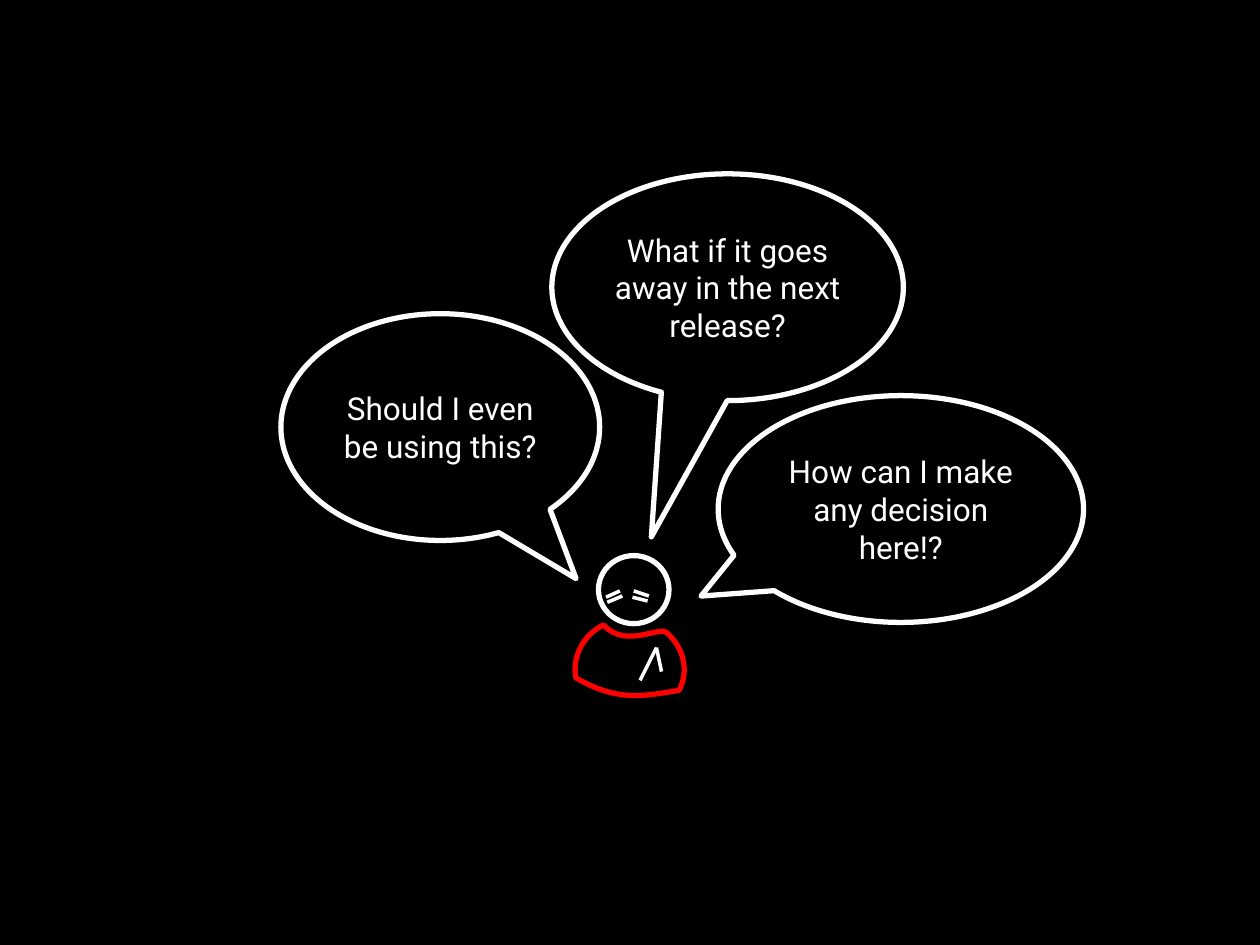
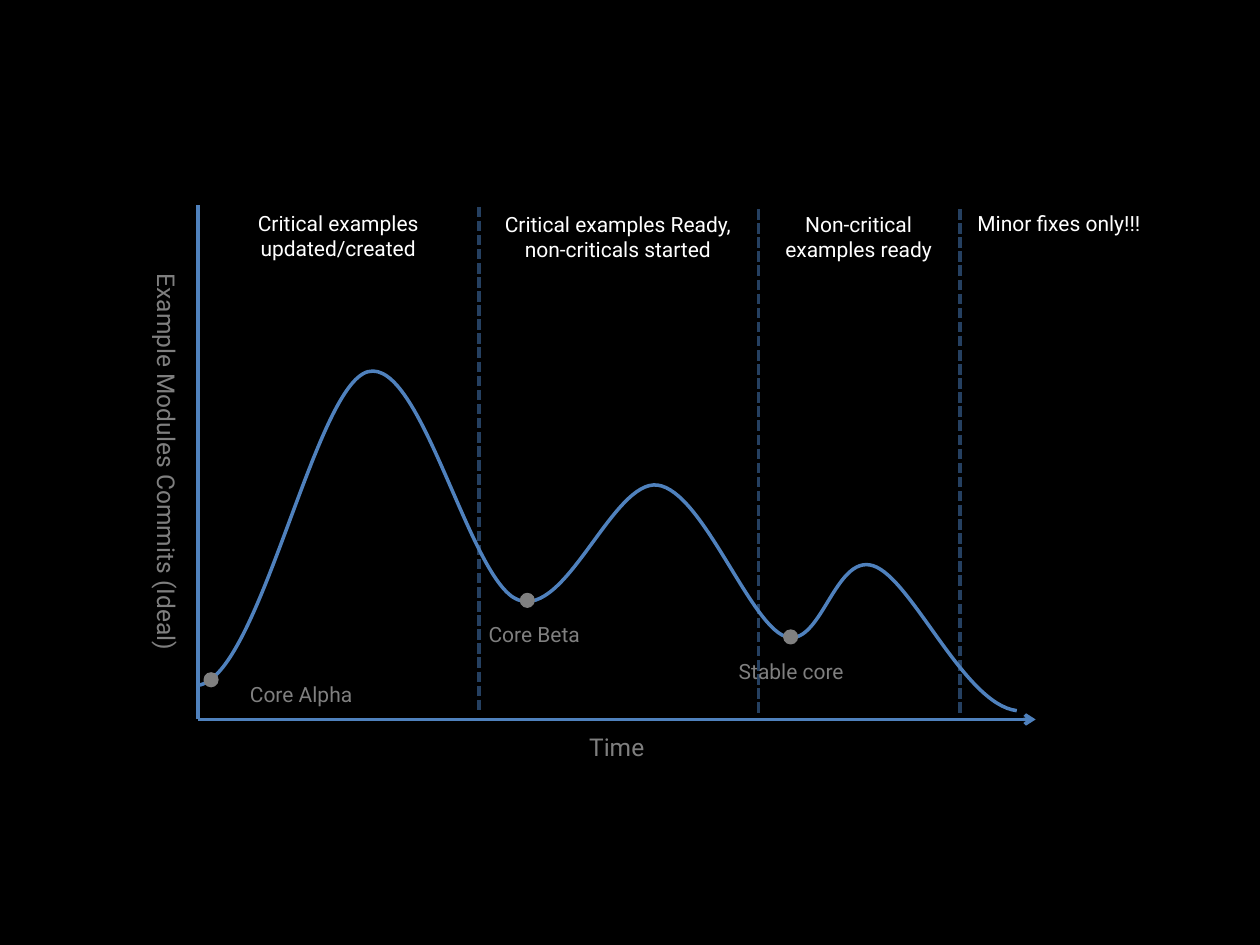
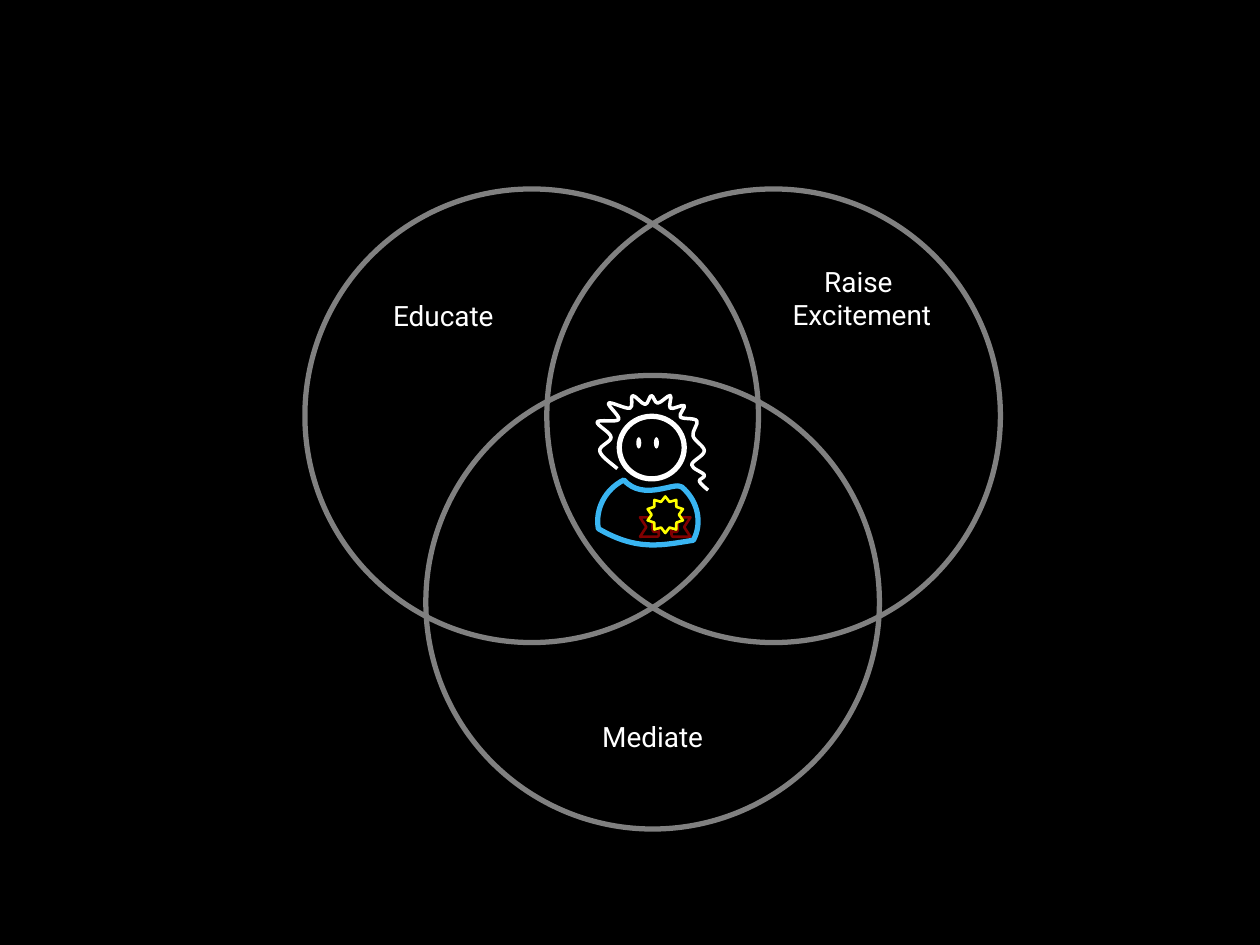
"""Build three black slides: a worried user, a commit curve and a skills diagram."""
from lxml import etree
from pptx import Presentation, util as u
from pptx.dml.color import RGBColor
from pptx.enum import dml, shapes, text
from pptx.oxml.ns import qn

KIND = shapes.MSO_SHAPE
FONT = "Roboto"
BLACK, WHITE, RED, SKY = "000000", "FFFFFF", "FF0000", "39B5F2"
BLUE, NAVY, GREY, DIM = "4F81BD", "254061", "808080", "7F7F7F"
GOLD, WINE = "FFFF00", "800000"

BODY = [(.01, .42), (-.02, .25), (.07, .08), (.23, 0), (.4, .19), (.67, .01), (.73, .06),
        (.87, .18), (.91, .37), (.83, .52), (.57, .56), (.35, .62), (.01, .42)]
HEAD = (.19, -.55, .56, .54)

DOUBTS = [
    ("How can I make any decision here!?", (5.7, 3.14, 2.9, 1.8), (-.547, .384)),
    ("What if it goes away in the next release?", (4.38, 1.38, 2.79, 1.8), (-.217, 1.101)),
    ("Should I even be using this?", (2.23, 2.49, 2.53, 1.8), (.426, .668)),
]
STROKES = [
    (5.21, 5.14, 5.08, 5.4), (5.21, 5.14, 5.25, 5.33),
    (4.81, 4.74, 4.92, 4.69), (4.82, 4.78, 4.94, 4.73),
    (5.03, 4.69, 5.15, 4.73), (5.02, 4.74, 5.14, 4.77),
]

LEFT, BASE, RIGHT = 1.57, 5.71, 8.22
STAGES = [
    ("Critical examples updated/created", (1.57, 1.62, 2.23, .5)),
    ("Critical examples Ready,\vnon-criticals started", (3.79, 1.63, 2.23, .91)),
    ("Non-critical examples ready", (6, 1.63, 1.63, .71)),
    ("Minor fixes only!!!", (7.62, 1.62, 1.57, .5)),
]
SPLITS = [(3.8, 1.64), (6.02, 1.66), (7.62, 1.66)]
MARKS = [
    ("Core Alpha", 1.62, 5.36, 1.62, 5.34),
    ("Core Beta", 3.47, 4.88, 4.13, 4.71),
    ("Stable core", 5.51, 5.18, 6.22, 5),
]
WAVE = [(-.02, 3.37), (1.57, 5.44), (2.92, 2.95), (4.11, 4.76), (5.22, 3.85),
        (6.23, 5.05), (6.93, 4.49), (8.07, 5.64), (9.45, 4.79)]

HAIR = [(5.12, 3.88), (4.9, 3.72), (4.76, 3.58), (4.85, 3.47), (4.74, 3.35), (4.91, 3.33),
        (4.83, 3.2), (5, 3.24), (5.02, 3.14), (5.12, 3.21), (5.17, 3.14), (5.22, 3.2),
        (5.32, 3.14), (5.32, 3.24), (5.43, 3.22), (5.4, 3.31), (5.53, 3.34), (5.5, 3.46),
        (5.59, 3.58), (5.49, 3.69), (5.59, 3.77), (5.55, 3.82), (5.62, 3.89), (5.55, 3.82)]
SKILLS = [
    ("Educate", 2.42, 1.5, (.1, .05, 1.5, 1.65)),
    ("Raise \vExcitement", 4.34, 1.5, (1.5, .05, .1, 1.92)),
    ("Mediate", 3.38, 2.98, (.1, 2.17, .1, .05)),
]


def tint(code):
    return RGBColor.from_string(code)


def start(deck):
    slide = deck.slides.add_slide(deck.slide_layouts[6])
    slide.background.fill.solid()
    slide.background.fill.fore_color.rgb = tint(BLACK)
    return slide


def style(shape, line=None, width=3, fill=None):
    shape.shadow.inherit = False
    if fill:
        shape.fill.solid()
        shape.fill.fore_color.rgb = tint(fill)
    else:
        shape.fill.background()
    if line:
        shape.line.color.rgb = tint(line)
        shape.line.width = u.Pt(width)
    else:
        shape.line.fill.background()
    return shape


def draw(slide, kind, box, line=None, width=3, fill=None, tweaks=()):
    shape = slide.shapes.add_shape(kind, *map(u.Inches, box))
    for i, value in enumerate(tweaks):
        shape.adjustments[i] = value
    return style(shape, line, width, fill)


def write(shape, words, size, code=WHITE, pads=(.1, .05, .1, .05), wrap=True):
    frame = shape.text_frame
    frame.text = words
    frame.word_wrap = wrap
    frame.margin_left, frame.margin_top, frame.margin_right, frame.margin_bottom = map(u.Inches, pads)
    for para in frame.paragraphs:
        para.alignment = text.PP_ALIGN.CENTER
        for run in para.runs:
            run.font.name, run.font.size = FONT, u.Pt(size)
            run.font.color.rgb = tint(code)
    return frame


def label(slide, words, box, size=12, code=WHITE):
    shape = slide.shapes.add_textbox(*map(u.Inches, box))
    write(shape, words, size, code).auto_size = text.MSO_AUTO_SIZE.SHAPE_TO_FIT_TEXT
    return shape


def rule(slide, ends, code, dash=False, arrow=False):
    line = slide.shapes.add_connector(shapes.MSO_CONNECTOR.STRAIGHT, *map(u.Inches, ends))
    line.line.color.rgb = tint(code)
    line.line.width = u.Pt(2)
    if dash:
        line.line.dash_style = dml.MSO_LINE.SQUARE_DOT
    if arrow:
        etree.SubElement(line.line._get_or_add_ln(), qn("a:tailEnd"), type="arrow")
    etree.SubElement(line._element.spPr, qn("a:effectLst"))


def bend(knots):
    """Turn knots, with a guide point at each end, into cubic control points."""
    path = [knots[1]]
    for a, b, c, d in zip(knots, knots[1:], knots[2:], knots[3:]):
        path.append(tuple(q + (r - p) / 6 for p, q, r in zip(a, b, c)))
        path.append(tuple(r - (s - q) / 6 for q, r, s in zip(b, c, d)))
        path.append(c)
    return path


def reach(marks, steps=20):
    """Give the least and greatest value a chain of cubics takes on one axis."""
    seen = []
    for i in range(0, len(marks) - 1, 3):
        a, b, c, d = marks[i:i + 4]
        for n in range(steps + 1):
            t = n / steps
            s = 1 - t
            seen.append(a * s ** 3 + 3 * b * t * s * s + 3 * c * t * t * s + d * t ** 3)
    return min(seen), max(seen)


def curve(slide, path, line, width, close=False):
    path = [(u.Inches(x), u.Inches(y)) for x, y in path]
    (left, right), (top, low) = ([round(v) for v in reach(axis)] for axis in zip(*path))
    pen = slide.shapes.build_freeform(*path[0])
    pen.add_line_segments(path[3::3], close=close)
    shape = pen.convert_to_shape()
    shape.left, shape.top, shape.width, shape.height = left, top, right - left, low - top
    trace = shape._element.find(".//" + qn("a:path"))
    trace.set("w", str(right - left))
    trace.set("h", str(low - top))
    spots = iter(path)
    for step in trace:
        if step.tag == qn("a:close"):
            continue
        first = step.tag == qn("a:moveTo")
        move = etree.Element(qn("a:moveTo" if first else "a:cubicBezTo"))
        for _ in range(1 if first else 3):
            x, y = next(spots)
            etree.SubElement(move, qn("a:pt"), x=str(x - left), y=str(y - top))
        trace.replace(step, move)
    style(shape, line, width)


def figure(slide, x, y, scale, code):
    curve(slide, [(x + scale * a, y + scale * b) for a, b in BODY], code, 3, close=True)
    a, b, wide, high = (scale * v for v in HEAD)
    draw(slide, KIND.OVAL, (x + a, y + b, wide, high), WHITE)


def doubts(slide):
    figure(slide, 4.56, 4.96, 1, RED)
    for words, box, tip in DOUBTS:
        bubble = draw(slide, KIND.OVAL_CALLOUT, box, WHITE, tweaks=tip)
        write(bubble, words, 18, pads=(0,) * 4).vertical_anchor = text.MSO_ANCHOR.MIDDLE
    for ends in STROKES:
        rule(slide, ends, WHITE)


def commits(slide):
    for x, top in SPLITS:
        rule(slide, (x, top, x, top + 4.02), NAVY, dash=True)
    rule(slide, (LEFT, 1.63, LEFT, BASE), BLUE)
    rule(slide, (LEFT, BASE, RIGHT, BASE), BLUE, arrow=True)
    curve(slide, bend(WAVE), BLUE, 2)
    label(slide, "Example Modules Commits (Ideal)", (-.83, 3.38, 4.07, .57), 14, DIM).rotation = 90
    label(slide, "Time", (LEFT, 5.76, RIGHT - LEFT, .34), 14, DIM)
    for words, x, y, across, down in MARKS:
        label(slide, words, (x, y, 1.54, .3), code=DIM)
        draw(slide, KIND.OVAL, (across, down, .11, .11), GREY, .75, GREY)
    for words, box in STAGES:
        label(slide, words, box)


def skills(slide):
    draw(slide, KIND.UP_RIBBON, (5.08, 4.03, .4, .23), WINE, 1.5, tweaks=(.333, .5))
    draw(slide, KIND.STAR_10_POINT, (5.14, 3.94, .28, .29), GOLD, 1.5, BLACK, (.368,))
    figure(slide, 4.74, 3.81, .92, SKY)
    for x in (5.05, 5.19):
        draw(slide, KIND.OVAL, (x, 3.47, .04, .09), fill=WHITE)
    curve(slide, bend(HAIR), WHITE, 2)
    for words, x, y, pads in SKILLS:
        ring = draw(slide, KIND.OVAL, (x, y, 3.6, 3.6), GREY)
        write(ring, words, 16, pads=pads, wrap=False).vertical_anchor = text.MSO_ANCHOR.MIDDLE


def main():
    deck = Presentation()
    deck.slide_width, deck.slide_height = u.Inches(10), u.Inches(7.5)
    for fill in (doubts, commits, skills):
        fill(start(deck))
    deck.save("out.pptx")


if __name__ == "__main__":
    main()
